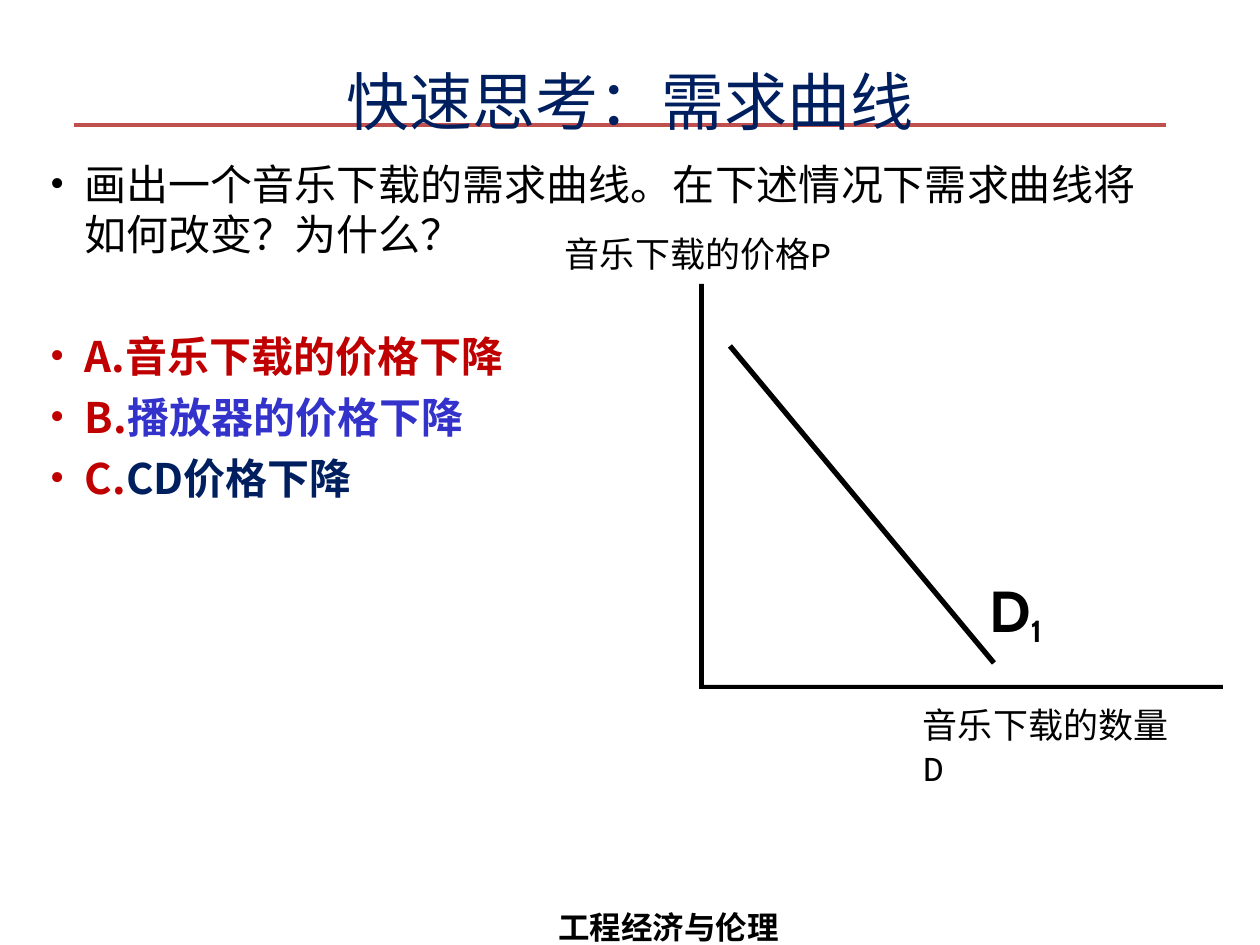
from dataclasses import dataclass
from typing import Optional

from lxml import etree
from pptx import Presentation
from pptx.dml.color import RGBColor
from pptx.enum.shapes import MSO_CONNECTOR
from pptx.enum.text import MSO_ANCHOR, PP_ALIGN
from pptx.oxml.ns import qn
from pptx.util import Emu, Pt

STRAIGHT = MSO_CONNECTOR.STRAIGHT
TOP, MIDDLE = MSO_ANCHOR.TOP, MSO_ANCHOR.MIDDLE
LEFT, CENTER = PP_ALIGN.LEFT, PP_ALIGN.CENTER

BLACK = RGBColor(0x00, 0x00, 0x00)
NAVY = RGBColor(0x00, 0x1F, 0x5F)
RED = RGBColor(0xC0, 0x00, 0x00)
BLUE = RGBColor(0x33, 0x33, 0xCC)
BRICK = RGBColor(0xC0, 0x50, 0x4D)

SCALE = 914400 / 126
INDENT = 35


def px(n: int) -> Emu:
    return Emu(round(n * SCALE))


@dataclass
class Span:
    text: str
    size: int
    font: str
    color: RGBColor = BLACK
    bold: bool = False
    shift: int = 0


@dataclass
class Para:
    spans: list[Span]
    before: int = 0
    bullet: Optional[RGBColor] = None
    align: PP_ALIGN = LEFT
    lines: float = 1.0
    indent: int = 0


@dataclass
class Box:
    x: int
    y: int
    w: int
    h: int
    paras: list[Para]
    side: int = 13
    top: int = 6
    anchor: MSO_ANCHOR = TOP


@dataclass
class Line:
    x1: int
    y1: int
    x2: int
    y2: int
    color: RGBColor
    width: int


def add_bullet(props, color: RGBColor) -> None:
    tint = etree.SubElement(props, qn("a:buClr"))
    etree.SubElement(tint, qn("a:srgbClr"), val=str(color))
    etree.SubElement(props, qn("a:buFont"), typeface="Times New Roman")
    etree.SubElement(props, qn("a:buChar"), char="•")


def fill_para(para, item: Para) -> None:
    props = para._p.get_or_add_pPr()
    if item.bullet is not None:
        props.set("marL", str(px(INDENT)))
        props.set("indent", str(-px(INDENT)))
        add_bullet(props, item.bullet)
    elif item.indent:
        props.set("marL", str(px(item.indent)))
    para.alignment = item.align
    para.line_spacing = item.lines
    para.space_before = Pt(item.before)
    for span in item.spans:
        run = para.add_run()
        run.text = span.text
        font = run.font
        font.size, font.name, font.bold = Pt(span.size), span.font, span.bold
        font.color.rgb = span.color
        if span.shift:
            run._r.get_or_add_rPr().set("baseline", str(span.shift * 1000))


def draw_box(slide, box: Box) -> None:
    shape = slide.shapes.add_textbox(px(box.x), px(box.y), px(box.w), px(box.h))
    frame = shape.text_frame
    frame.word_wrap = True
    frame.vertical_anchor = box.anchor
    frame.margin_left = frame.margin_right = px(box.side)
    frame.margin_top = frame.margin_bottom = px(box.top)
    for i, item in enumerate(box.paras):
        fill_para(frame.add_paragraph() if i else frame.paragraphs[0], item)


def draw_line(slide, line: Line) -> None:
    link = slide.shapes.add_connector(
        STRAIGHT, px(line.x1), px(line.y1), px(line.x2), px(line.y2))
    link.line.color.rgb = line.color
    link.line.width = Pt(line.width)
    etree.SubElement(link._element.spPr, qn("a:effectLst"))


def draw_axes(slide, points: list[tuple[int, int]]) -> None:
    build = slide.shapes.build_freeform(*points[0], scale=SCALE)
    build.add_line_segments(points[1:], close=True)
    axes = build.convert_to_shape()
    axes.shadow.inherit = False
    axes.fill.solid()
    axes.fill.fore_color.rgb = BLACK
    axes.line.fill.background()


def choice(mark: str, text: str, color: RGBColor, before: int = 6) -> Para:
    font = "Noto Sans CJK SC"
    return Para([Span(mark, 24, font, RED, True),
                 Span(text, 24, font, color, True)], before, RED)


def label(text: str) -> list[Para]:
    return [Para([Span(text, 20, "Courier New")], indent=2)]


RULE = Line(74, 125, 1166, 125, BRICK, 2)
DEMAND = Line(730, 346, 994, 663, BLACK, 3)
AXES = [(699, 284), (704, 284), (704, 685), (1223, 685), (1223, 689), (699, 689)]

BOXES = [
    Box(545, 883, 270, 69,
        [Para([Span("工程经济与伦理", 18, "Times New Roman", BLACK, True)], lines=1.5)]),
    Box(63, 21, 1134, 158,
        [Para([Span("快速思考：需求曲线", 36, "Courier New", NAVY)], align=CENTER)],
        anchor=MIDDLE),
    Box(37, 152, 1134, 624, [
        Para([Span("画出一个音乐下载的需求曲线。在下述情况下需求曲线将如何改变？为什么？",
                   24, "Calibri")], bullet=BLACK),
        choice("A.", "音乐下载的价格下降", RED, 41),
        choice("B.", "播放器的价格下降", BLUE),
        choice("C.", "CD价格下降", NAVY),
    ]),
    Box(563, 231, 359, 44, label("音乐下载的价格P"), 0, 1),
    Box(921, 703, 264, 86, label("音乐下载的数量D"), 0, 1),
    Box(984, 573, 79, 76,
        [Para([Span("D", 33, "Cabin", BLACK, True),
               Span("1", 30, "Cabin", BLACK, True, -18)], indent=5)], 0, 2),
]


def main() -> None:
    deck = Presentation()
    deck.slide_width, deck.slide_height = px(1260), px(945)
    slide = deck.slides.add_slide(deck.slide_layouts[6])
    draw_line(slide, RULE)
    for box in BOXES:
        draw_box(slide, box)
    draw_axes(slide, AXES)
    draw_line(slide, DEMAND)
    deck.save("out.pptx")


if __name__ == "__main__":
    main()
